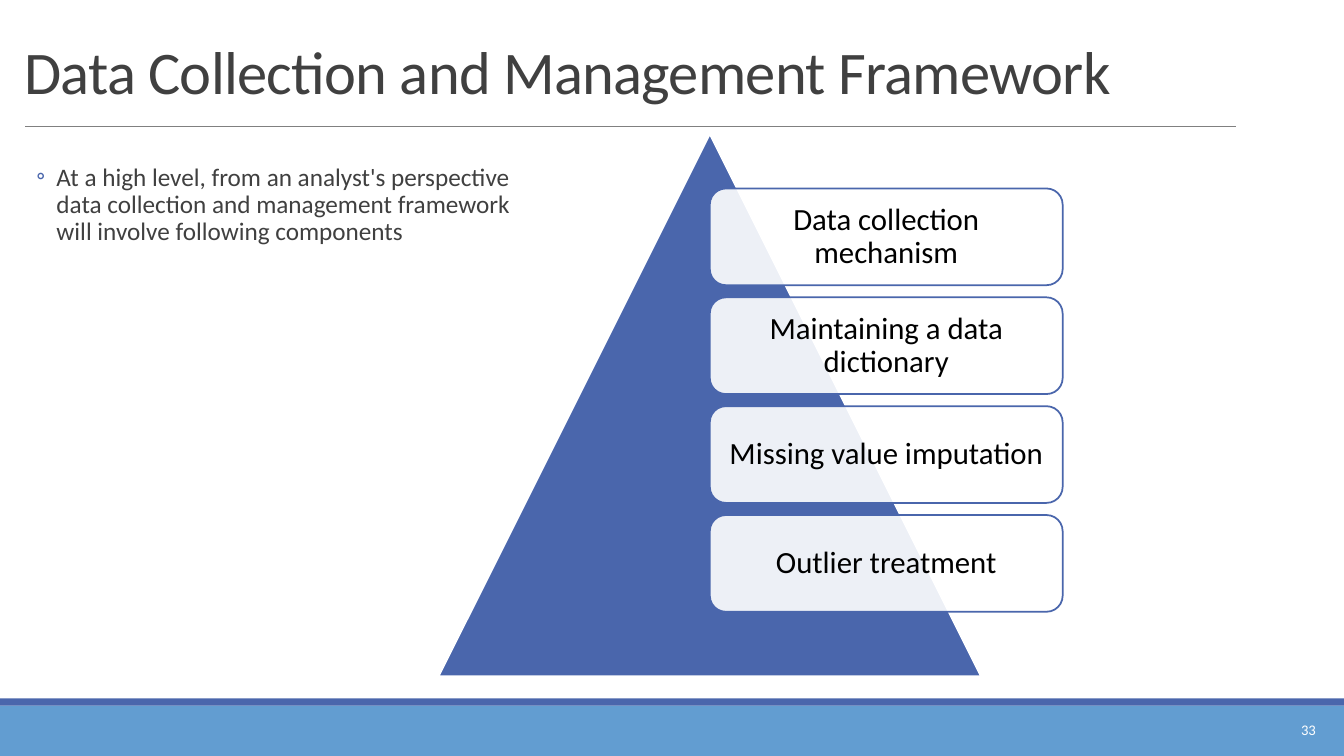
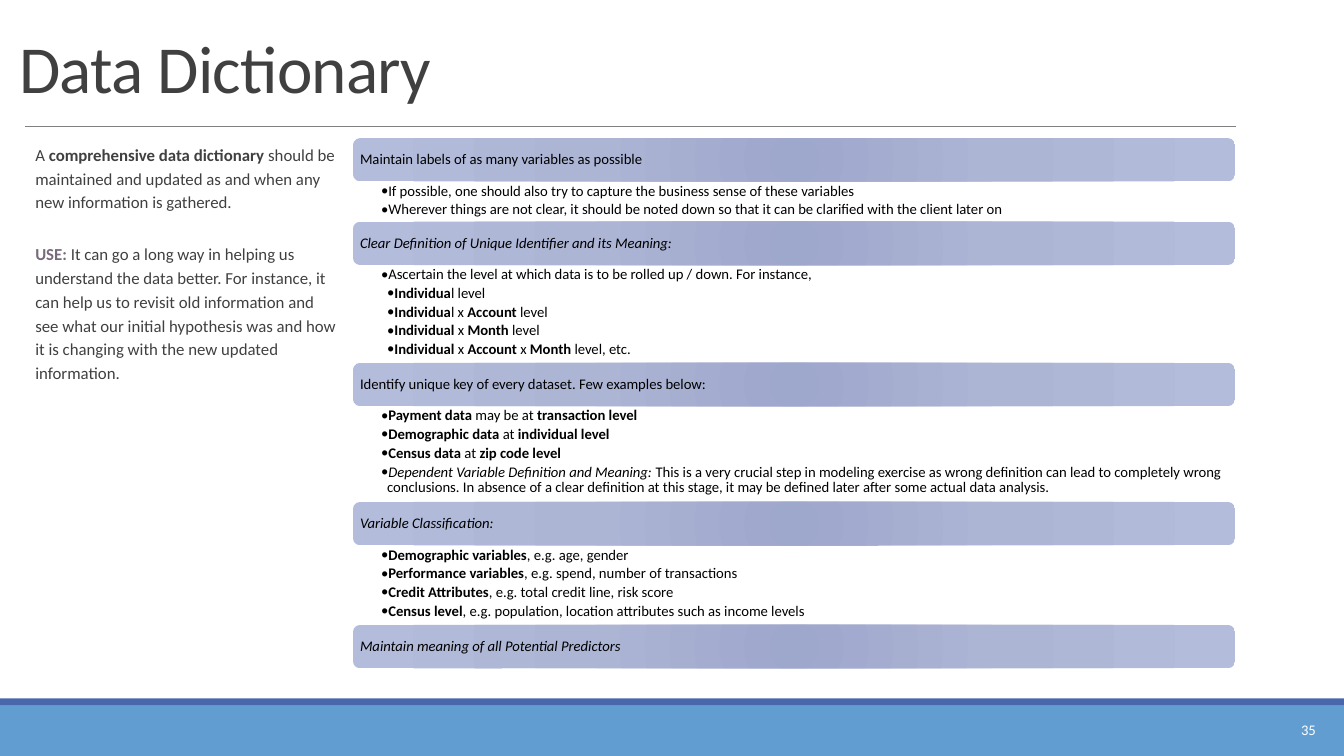
from dataclasses import dataclass
from typing import NamedTuple

from lxml.etree import SubElement
from pptx import Presentation
from pptx.dml.color import RGBColor
from pptx.enum.shapes import MSO_CONNECTOR, MSO_SHAPE
from pptx.enum.text import MSO_ANCHOR as Anchor, MSO_AUTO_SIZE, PP_ALIGN as Align
from pptx.oxml import parse_xml
from pptx.oxml.ns import nsdecls, qn
from pptx.shapes.autoshape import Shape
from pptx.slide import Slide
from pptx.text.text import TextFrame, _Paragraph as Paragraph
from pptx.util import Inches, Pt

FONT = "Calibri"
NAVY, SKY, GRAY = "4A66AC", "629DD1", "808080"
INK, BLACK, WHITE, MAUVE = "404040", "000000", "FFFFFF", "78697B"
BAR_STOPS = ((0, "9EA7CC"), (45, "ADB5D5"), (100, "B4BCDC"))


class Box(NamedTuple):
    """Left, top, width and height in inches."""
    left: float
    top: float
    width: float
    height: float


class Insets(NamedTuple):
    """Text margins in inches."""
    left: float = 0.1
    top: float = 0.05
    right: float = 0.1
    bottom: float = 0.05


class Span(NamedTuple):
    """A stretch of text in one style."""
    text: str
    bold: bool = False
    italic: bool = False
    color: str | None = None


class Bullet(NamedTuple):
    """A bulleted line made of spans."""
    spans: list[Span]
    level: int = 1


@dataclass
class Section:
    """A heading bar with the bullets below it."""
    heading: Span
    bullets: list[Bullet]
    bullets_height: float = 0.0


def bold(text: str) -> Span:
    """Return a bold span."""
    return Span(text, bold=True)


def italic(text: str) -> Span:
    """Return an italic span."""
    return Span(text, italic=True)


COMPONENTS = ["Data collection mechanism", "Maintaining a data dictionary",
              "Missing value imputation", "Outlier treatment"]

SECTIONS = [
    Section(Span("Maintain labels of as many variables as possible"), [
        Bullet([Span("If possible, one should also try to capture the business sense of these variables")]),
        Bullet([Span("Wherever things are not clear, it should be noted down so that it can be "
                     "clarified with the client later on")]),
    ], 0.4),
    Section(italic("Clear Definition of Unique Identifier and its Meaning:"), [
        Bullet([Span("Ascertain the level at which data is to be rolled up / down. For instance,")]),
        Bullet([bold("Individua"), Span("l level")], 2),
        Bullet([bold("Individua"), Span("l x "), bold("Account"), Span(" level")], 2),
        Bullet([bold("Individual"), Span(" x "), bold("Month"), Span(" level")], 2),
        Bullet([bold("Individual"), Span(" x "), bold("Account"), Span(" x "), bold("Month"),
                Span(" level, etc.")], 2),
    ], 0.97),
    Section(Span("Identify unique key of every dataset. Few examples below:"), [
        Bullet([bold("Payment data "), Span("may be at "), bold("transaction level")]),
        Bullet([bold("Demographic data "), Span("at "), bold("individual level")]),
        Bullet([bold("Census data "), Span("at "), bold("zip code level")]),
        Bullet([italic("Dependent Variable Definition and Meaning: "),
                Span("This is a very crucial step in modeling exercise as wrong definition can lead to "
                     "completely wrong conclusions. In absence of a clear definition at this stage, it "
                     "may be defined later after some actual data analysis.")]),
    ], 0.95),
    Section(italic("Variable Classification:"), [
        Bullet([bold("Demographic variables"), Span(", e.g. age, gender")]),
        Bullet([bold("Performance variables"), Span(", e.g. spend, number of transactions")]),
        Bullet([bold("Credit Attributes"), Span(", e.g. total credit line, risk score")]),
        Bullet([bold("Census level"),
                Span(", e.g. population, location attributes such as income levels")]),
    ], 0.79),
    Section(italic("Maintain meaning of all Potential Predictors"), []),
]

DICTIONARY_NOTES = [
    [Span("A "), bold("comprehensive data dictionary "),
     Span("should be maintained and updated as and when any new information is gathered.")],
    [Span("USE: ", bold=True, color=MAUVE),
     Span("It can go a long way in helping us understand the data better. For instance, it can help us "
          "to revisit old information and see what our initial hypothesis was and how it is changing "
          "with the new updated information.")],
]


def rgb(color: str) -> RGBColor:
    """Turn a hex string into a colour."""
    return RGBColor.from_string(color)


def inches(box: Box) -> list[Inches]:
    """Convert a box to lengths."""
    return [Inches(value) for value in box]


def set_frame(frame: TextFrame, insets: Insets, anchor: Anchor = Anchor.TOP) -> None:
    """Set wrapping, margins and anchor of a text frame."""
    frame.word_wrap = True
    frame.auto_size = MSO_AUTO_SIZE.NONE
    frame.vertical_anchor = anchor
    frame.margin_left, frame.margin_top, frame.margin_right, frame.margin_bottom = map(Inches, insets)


def write(paragraph: Paragraph, spans: list[Span], size: float, color: str,
          align: Align = Align.LEFT, spacing: float = 0.9) -> None:
    """Write styled spans into a paragraph."""
    paragraph.alignment = align
    paragraph.line_spacing = spacing
    for span in spans:
        run = paragraph.add_run()
        run.text = span.text
        font = run.font
        font.name, font.size = FONT, Pt(size)
        font.bold, font.italic = span.bold, span.italic
        font.color.rgb = rgb(span.color or color)


def indent(paragraph: Paragraph, margin: float, hanging: float = 0,
           mark: str = "", mark_color: str = BLACK) -> None:
    """Indent a paragraph and give it an optional bullet."""
    properties = paragraph._p.get_or_add_pPr()
    properties.set("marL", str(Inches(margin)))
    properties.set("indent", str(-Inches(hanging)))
    if mark:
        SubElement(SubElement(properties, qn("a:buClr")), qn("a:srgbClr"), val=mark_color)
        SubElement(properties, qn("a:buFont"), typeface=FONT)
        SubElement(properties, qn("a:buChar"), char=mark)


def add_text_frame(slide: Slide, box: Box, insets: Insets, anchor: Anchor = Anchor.TOP) -> TextFrame:
    """Add a text box and return its frame."""
    frame = slide.shapes.add_textbox(*inches(box)).text_frame
    set_frame(frame, insets, anchor)
    return frame


def add_block(slide: Slide, kind: MSO_SHAPE, box: Box, fill: str | None = None,
              line: str | None = None) -> Shape:
    """Add a flat preset shape."""
    block = slide.shapes.add_shape(kind, *inches(box))
    block.shadow.inherit = False
    if fill:
        block.fill.solid()
        block.fill.fore_color.rgb = rgb(fill)
    else:
        block.fill.background()
    if line:
        block.line.color.rgb = rgb(line)
        block.line.width = Pt(1.25)
    else:
        block.line.fill.background()
    return block


def set_bar_gradient(bar: Shape) -> None:
    """Replace the empty fill of a bar by the radial gradient."""
    stops = "".join(f'<a:gs pos="{position * 1000}"><a:srgbClr val="{color}"/></a:gs>'
                    for position, color in BAR_STOPS)
    gradient = parse_xml(
        f'<a:gradFill {nsdecls("a")} rotWithShape="1"><a:gsLst>{stops}</a:gsLst><a:path path="circle">'
        '<a:fillToRect l="100000" t="100000" r="100000" b="100000"/></a:path></a:gradFill>')
    properties = bar.element.spPr
    properties.replace(properties.find(qn("a:noFill")), gradient)


def start_slide(deck: Presentation, title: str, size: float, insets: Insets, number: int) -> Slide:
    """Add a slide with bands, rule, title and page number."""
    slide = deck.slides.add_slide(deck.slide_layouts[5])
    add_block(slide, MSO_SHAPE.RECTANGLE, Box(0, 7, 13.33, 0.5), SKY)
    add_block(slide, MSO_SHAPE.RECTANGLE, Box(0, 6.93, 13.33, 0.07), NAVY)
    rule = slide.shapes.add_connector(MSO_CONNECTOR.STRAIGHT, Inches(0.25), Inches(1.25),
                                      Inches(12.26), Inches(1.25))
    rule.line.color.rgb = rgb(GRAY)
    rule.line.width = Pt(0.5)
    SubElement(rule.element.spPr, qn("a:effectLst"))

    heading = slide.shapes.title
    heading.left, heading.top, heading.width, heading.height = inches(Box(0.14, 0.17, 12.03, 0.94))
    set_frame(heading.text_frame, insets, Anchor.BOTTOM)
    paragraph = heading.text_frame.paragraphs[0]
    write(paragraph, [Span(title)], size, INK, spacing=0.85)
    paragraph.runs[0].font._element.set("spc", "-50")

    page = add_text_frame(slide, Box(11.72, 7.04, 1.43, 0.4), Insets(), Anchor.MIDDLE)
    write(page.paragraphs[0], [Span(str(number))], 10.5, WHITE, Align.RIGHT, 1.0)
    return slide


def add_component(slide: Slide, label: str, top: float) -> None:
    """Add one translucent card over the pyramid."""
    card = add_block(slide, MSO_SHAPE.ROUNDED_RECTANGLE, Box(7.04, top, 3.5, 0.96), WHITE, NAVY)
    fill_color = card.element.spPr.find(qn("a:solidFill")).find(qn("a:srgbClr"))
    SubElement(fill_color, qn("a:alpha"), val="90000")
    set_frame(card.text_frame, Insets(0.09, 0.09, 0.09, 0.09), Anchor.MIDDLE)
    write(card.text_frame.paragraphs[0], [Span(label)], 22, BLACK, Align.CENTER)


def add_section(slide: Slide, section: Section, top: float) -> float:
    """Add a heading bar with its bullets and return the next top."""
    left, width, bar_height = 3.5, 8.75, 0.43
    bar = add_block(slide, MSO_SHAPE.ROUNDED_RECTANGLE, Box(left, top, width, bar_height))
    set_bar_gradient(bar)
    set_frame(bar.text_frame, Insets(0.05, 0.05, 0.05, 0.05), Anchor.MIDDLE)
    write(bar.text_frame.paragraphs[0], [section.heading], 10.5, BLACK)
    top += bar_height
    if section.bullets:
        frame = add_text_frame(slide, Box(left, top, width, section.bullets_height),
                               Insets(0.28, 0.02, 0.09, 0.02))
        for index, bullet in enumerate(section.bullets):
            paragraph = frame.add_paragraph() if index else frame.paragraphs[0]
            write(paragraph, bullet.spans, 10.5, BLACK)
            paragraph.space_after = Pt(2)
            indent(paragraph, 0.06 * bullet.level, 0.06, "•")
    return top + section.bullets_height


def build_framework(deck: Presentation) -> None:
    """Build the framework slide."""
    slide = start_slide(deck, "Data Collection and Management Framework", 43.2, Insets(), 33)
    intro = add_text_frame(slide, Box(0.14, 1.58, 5.02, 4.92), Insets(0, 0.05, 0, 0.05)).paragraphs[0]
    write(intro, [Span("At a high level, from an analyst's perspective data collection and management "
                       "framework will involve following components")], 18, INK)
    intro.space_before, intro.space_after = Pt(2), Pt(4)
    indent(intro, 0.42, 0.2, "◦", NAVY)
    add_block(slide, MSO_SHAPE.ISOSCELES_TRIANGLE, Box(4.35, 1.33, 5.38, 5.38), NAVY, WHITE)
    for index, label in enumerate(COMPONENTS):
        add_component(slide, label, 1.87 + 1.08 * index)


def build_dictionary(deck: Presentation) -> None:
    """Build the data dictionary slide."""
    slide = start_slide(deck, "Data Dictionary", 48, Insets(0.05, 0.05, 0.05, 0.05), 35)
    notes = add_text_frame(slide, Box(0.25, 1.35, 3.11, 5.08), Insets(0, 0.05, 0, 0.05))
    for index, spans in enumerate(DICTIONARY_NOTES):
        paragraph = notes.add_paragraph() if index else notes.paragraphs[0]
        write(paragraph, spans, 12, INK, spacing=1.18)
        paragraph.space_before = Pt(20 * index)
        indent(paragraph, 0.1)
    top = 1.37
    for section in SECTIONS:
        top = add_section(slide, section, top)


def main() -> None:
    """Build and save the deck."""
    deck = Presentation()
    deck.slide_width, deck.slide_height = Inches(13.33), Inches(7.5)
    build_framework(deck)
    build_dictionary(deck)
    deck.save("out.pptx")


if __name__ == "__main__":
    main()
